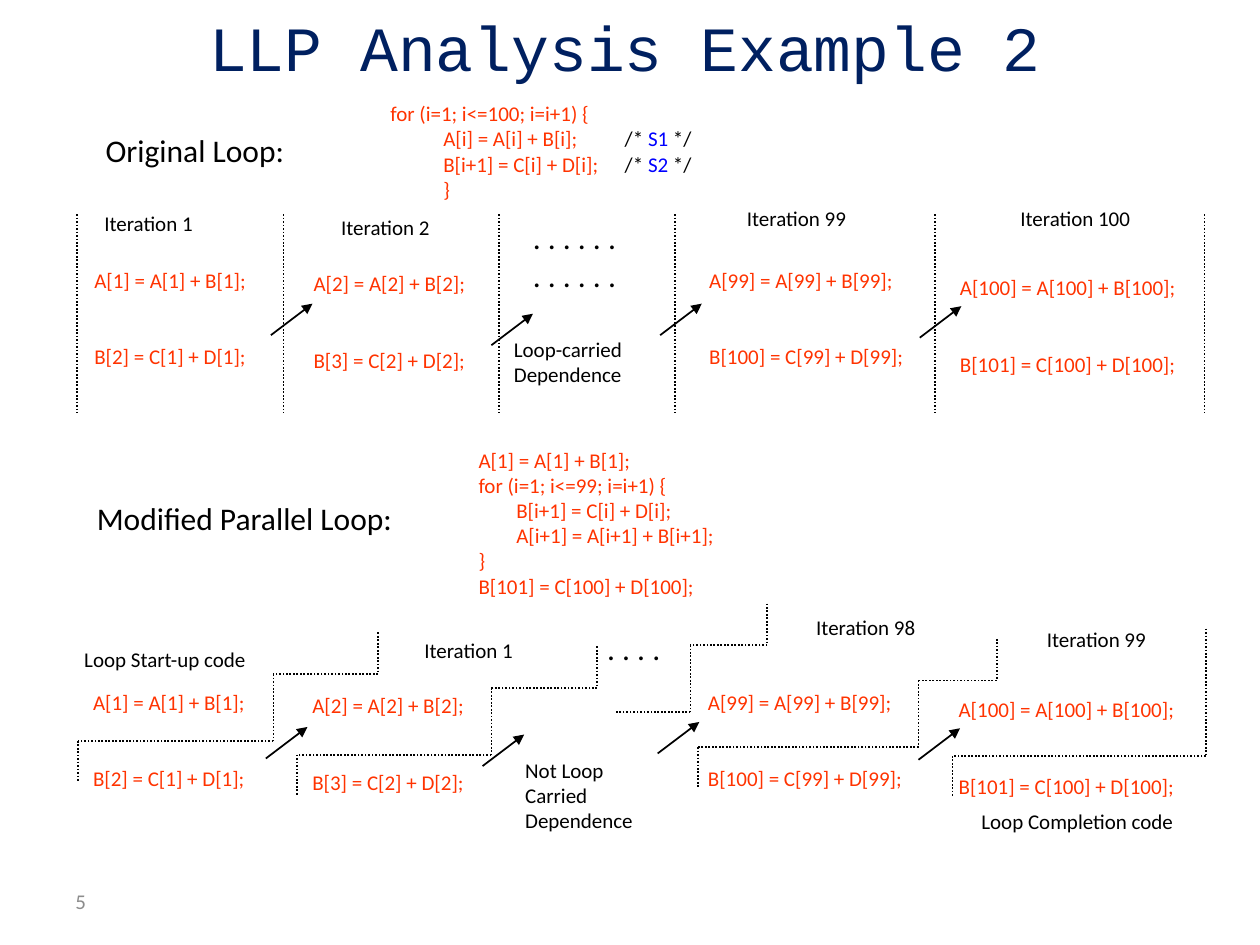
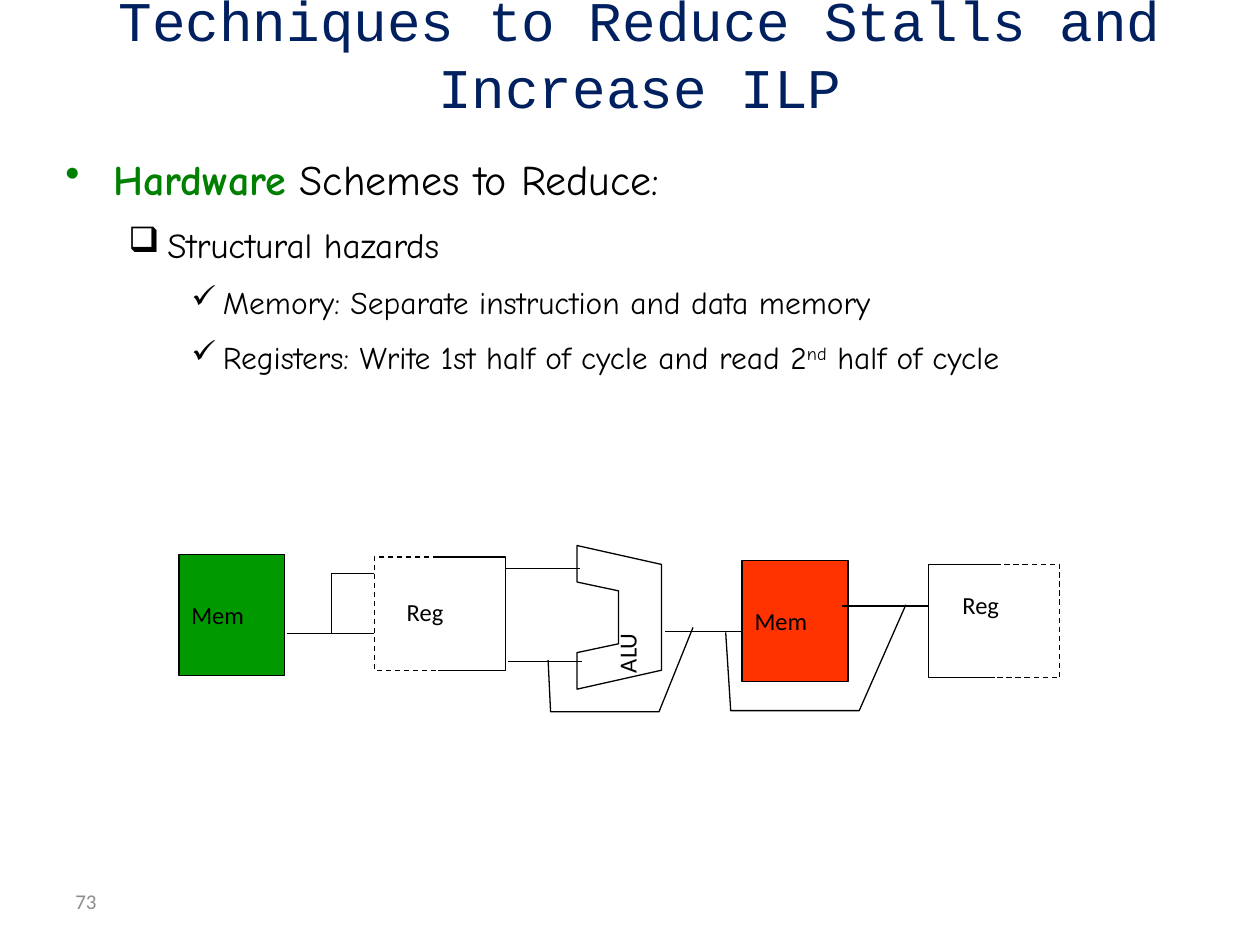
from dataclasses import dataclass
from itertools import pairwise

from lxml.etree import SubElement
from pptx import Presentation
from pptx.dml.color import RGBColor
from pptx.enum.dml import MSO_LINE
from pptx.enum.shapes import MSO_CONNECTOR, MSO_SHAPE
from pptx.enum.text import MSO_ANCHOR, PP_ALIGN
from pptx.oxml.ns import qn
from pptx.util import Inches, Pt


@dataclass(frozen=True)
class Theme:
    columns: float = 10
    rows: float = 7.5
    text_font: str = "Calibri"
    body_font: str = "Comic Neue"
    title_font: str = "Courier New"
    black: str = "000000"
    white: str = "FFFFFF"
    navy: str = "002060"
    gray: str = "8C8C8C"
    code: str = "FF3300"
    label: str = "0000FF"
    hardware: str = "008000"
    memory: str = "009900"
    small: float = 12
    component: float = 14
    heading: float = 18
    bullet_sizes: tuple = (24, 20, 18)
    thin: float = 0.75
    regular: float = 1


THEME = Theme()


class SlideBuilder:
    def __init__(self, presentation, theme):
        self.presentation = presentation
        self.theme = theme
        self.slide = None

    def x(self, columns):
        return round(self.presentation.slide_width * columns / self.theme.columns)

    def y(self, rows):
        return round(self.presentation.slide_height * rows / self.theme.rows)

    def new_slide(self, title, title_box, title_size, number):
        self.slide = self.presentation.slides.add_slide(self.presentation.slide_layouts[6])
        title_style = {"name": self.theme.title_font, "size": title_size, "color": self.theme.navy}
        self.text(title_box, [title], title_style, {"alignment": PP_ALIGN.CENTER}, MSO_ANCHOR.MIDDLE)
        self.text((0.5, 6.95, 2.33, 0.4), [number], {"color": self.theme.gray}, anchor=MSO_ANCHOR.MIDDLE)

    def run(self, paragraph, text, style):
        values = {"name": self.theme.text_font, "size": self.theme.small, "bold": False,
                  "color": self.theme.black, **style}
        run = paragraph.add_run()
        run.text = text
        run.font.color.rgb = RGBColor.from_string(values.pop("color"))
        baseline = values.pop("baseline", None)
        values["size"] = Pt(values["size"])
        for name, value in values.items():
            setattr(run.font, name, value)
        if baseline:
            run.font._element.set("baseline", str(baseline))

    def fill_text(self, shape, lines, style, layout=None, anchor=MSO_ANCHOR.TOP):
        frame = shape.text_frame
        frame.word_wrap = True
        frame.vertical_anchor = anchor
        paragraphs = []
        for index, line in enumerate(lines):
            paragraph = frame.add_paragraph() if index else frame.paragraphs[0]
            for name, value in {"alignment": PP_ALIGN.LEFT, **(layout or {})}.items():
                setattr(paragraph, name, value)
            pieces = [(line, {})] if isinstance(line, str) else line
            for text, changes in pieces:
                self.run(paragraph, text, {**style, **changes})
            paragraphs.append(paragraph)
        return paragraphs

    def text(self, box, lines, style=None, layout=None, anchor=MSO_ANCHOR.TOP, rotation=0):
        left, top, width, height = box
        shape = self.slide.shapes.add_textbox(self.x(left), self.y(top), self.x(width), self.y(height))
        shape.rotation = rotation
        return self.fill_text(shape, lines, style or {}, layout, anchor)

    def code(self, box, lines, tab_stops):
        for paragraph in self.text(box, lines, {"color": self.theme.code}):
            tab_list = SubElement(paragraph._p.get_or_add_pPr(), qn("a:tabLst"))
            for stop in tab_stops:
                SubElement(tab_list, qn("a:tab"), pos=str(self.x(stop)), algn="l")

    def statements(self, left, top, iteration):
        following = iteration + 1
        lines = [f"A[{iteration}] = A[{iteration}] + B[{iteration}];",
                 f"B[{following}] = C[{iteration}] + D[{iteration}];"]
        paragraphs = self.text((left, top, 2.25, 0.92), lines, {"color": self.theme.code})
        paragraphs[1].space_before = Pt(29.3)

    def bullets(self, box, items):
        markers = ("•", "❑", "✓")
        margins = ((0.38, -0.38), (0.81, -0.31), (1.25, -0.25))
        lines = [[(text, {"size": self.theme.bullet_sizes[level], **changes}) for text, changes in pieces]
                 for level, pieces in items]
        paragraphs = self.text(box, lines, {"name": self.theme.body_font}, {"alignment": PP_ALIGN.JUSTIFY})
        for index, (paragraph, (level, _)) in enumerate(zip(paragraphs, items)):
            paragraph.level = level
            paragraph.space_before = Pt(round(self.theme.bullet_sizes[level] * 0.55) if index else 0)
            properties = paragraph._p.get_or_add_pPr()
            for name, value in zip(("marL", "indent"), margins[level]):
                properties.set(name, str(self.x(value)))
            SubElement(properties, qn("a:buChar"), char=markers[level])

    def outline(self, line, width, dash=None):
        line.color.rgb = RGBColor.from_string(self.theme.black)
        line.width = Pt(width)
        if dash:
            line.dash_style = dash

    def paint(self, shape, fill=None, dash=None):
        shape.shadow.inherit = False
        if fill:
            shape.fill.solid()
            shape.fill.fore_color.rgb = RGBColor.from_string(fill)
        else:
            shape.fill.background()
        self.outline(shape.line, self.theme.thin, dash)

    def line(self, start, end, width, dash=None, arrow=False):
        connector = self.slide.shapes.add_connector(
            MSO_CONNECTOR.STRAIGHT, self.x(start[0]), self.y(start[1]), self.x(end[0]), self.y(end[1]))
        self.outline(connector.line, width, dash)
        if arrow:
            SubElement(connector.line._get_or_add_ln(), qn("a:tailEnd"), type="triangle")
        SubElement(connector._element.spPr, qn("a:effectLst"))

    def dotted(self, start, end):
        self.line(start, end, self.theme.regular, MSO_LINE.ROUND_DOT)

    def dependence(self, left, bottom):
        self.line((left, bottom), (left + 0.33, bottom - 0.25), self.theme.regular, arrow=True)

    def staircase(self, top, columns, drops):
        points = []
        for column, drop in zip(columns, drops):
            points += [(column, top), (column, top + drop)]
            top += drop
        for start, end in pairwise(points):
            if start != end:
                self.dotted(start, end)

    def freeform(self, points, fill=None, dash=None, close=False):
        first, *others = [(self.x(column), self.y(row)) for column, row in points]
        builder = self.slide.shapes.build_freeform(*first)
        builder.add_line_segments(others, close=close)
        self.paint(builder.convert_to_shape(), fill, dash)

    def memory(self, left, top, fill):
        shape = self.slide.shapes.add_shape(
            MSO_SHAPE.RECTANGLE, self.x(left), self.y(top), self.x(0.84), self.y(0.96))
        self.paint(shape, fill)
        self.fill_text(shape, ["Mem"], {"size": self.theme.component}, anchor=MSO_ANCHOR.MIDDLE)

    def register(self, dashed_edge, solid_edge, middle, top, label):
        bottom = top + 0.9
        for edge, dash in ((dashed_edge, MSO_LINE.DASH), (solid_edge, None)):
            self.freeform([(middle, top), (edge, top), (edge, bottom), (middle, bottom)], dash=dash)
        self.text((*label, 0.53, 0.33), ["Reg"], {"size": self.theme.component})


def build_loop_slide(builder):
    theme = builder.theme
    heading = {"size": theme.heading}
    builder.new_slide("LLP Analysis Example 2", (0.75, 0.07, 8.42, 0.6), 36, "5")

    iterations = ((0.65, 2.07, 1), (2.39, 2.1, 2), (5.53, 2.07, 99), (7.52, 2.13, 100))
    for shift_left, shift_down in ((0, 0), (0.01, 3.35)):
        for left, top, iteration in iterations:
            builder.statements(left - shift_left, top + shift_down, iteration)

    for column in (0.61, 2.25, 3.96, 5.36, 7.42, 9.56):
        builder.dotted((column, 1.7), (column, 3.28))

    step = (0.33, 0.53, 0.33)
    for top, columns, drops in (
        (5.02, (3, 2.17, 0.62), step),
        (5.13, (4.74, 3.9, 2.36), step),
        (4.79, (6.09, 5.48, 4.89), (0.33, 0.53, 0)),
        (5.07, (7.91, 7.29, 5.54), step),
        (4.99, (9.57, 7.56), (1.01, 0.33)),
    ):
        builder.staircase(top, columns, drops)

    for left, bottom in ((2.15, 2.66), (3.9, 2.74), (5.24, 2.66), (7.3, 2.68),
                         (2.11, 6.02), (3.83, 6.08), (5.22, 5.98), (7.29, 6.03)):
        builder.dependence(left, bottom)

    def comment(name):
        return [("\t/* ", {"color": theme.black}), (name, {"color": theme.label}),
                (" */", {"color": theme.black})]

    builder.code((3, 0.75, 2.97, 0.9), [
        "for (i=1; i<=100; i=i+1) {",
        [("\tA[i] = A[i] + B[i];", {}), *comment("S1")],
        [("\tB[i+1] = C[i] + D[i];", {}), *comment("S2")],
        "\t}",
    ], (0.42, 1.86))
    builder.code((2.75, 3.5, 3.34, 1.5), [
        "\tA[1] = A[1] + B[1];",
        "\tfor (i=1; i<=99; i=i+1) {",
        "\t\tB[i+1] = C[i] + D[i];",
        "\t\tA[i+1] = A[i+1] + B[i+1];",
        "\t}",
        "\tB[101] = C[100] + D[100];",
    ], (0.95, 1.25))

    for box, lines, style in (
        ((0.74, 0.99, 1.81, 0.4), ["Original Loop:"], heading),
        ((0.67, 3.91, 2.77, 0.4), ["Modified Parallel Loop:"], heading),
        ((4.13, 1.68, 1.12, 0.9), [". . . . . ."] * 2, heading),
        ((4.72, 4.94, 0.78, 0.5), [". . . ."], heading),
        ((0.73, 1.62, 0.96, 0.3), ["Iteration 1"], {}),
        ((2.61, 1.65, 0.96, 0.3), ["Iteration 2"], {}),
        ((5.83, 1.58, 1.04, 0.3), ["Iteration 99"], {}),
        ((8, 1.58, 1.12, 0.3), ["Iteration 100"], {}),
        ((3.27, 5.01, 0.96, 0.3), ["Iteration 1"], {}),
        ((6.38, 4.83, 1.04, 0.3), ["Iteration 98"], {}),
        ((8.21, 4.92, 1.04, 0.3), ["Iteration 99"], {}),
        ((0.57, 5.08, 1.58, 0.3), ["Loop Start-up code"], {}),
        ((7.69, 6.37, 1.81, 0.3), ["Loop Completion code"], {}),
        ((3.98, 2.62, 1.19, 0.5), ["Loop-carried", "Dependence"], {}),
        ((4.07, 5.96, 1.06, 0.7), ["Not Loop", "Carried", "Dependence"], {}),
    ):
        builder.text(box, lines, style)


def build_pipeline_slide(builder):
    theme = builder.theme
    builder.new_slide("Techniques to Reduce Stalls and Increase ILP", (0.58, 0, 9, 0.83), 32, "73")
    builder.bullets((0.42, 1.17, 9, 2.92), [
        (0, [("Hardware", {"bold": True, "color": theme.hardware}), (" Schemes to Reduce:", {})]),
        (1, [("Structural hazards", {})]),
        (2, [("Memory: Separate instruction and data memory", {})]),
        (2, [("Registers: Write 1st half of cycle and read 2", {}), ("nd", {"baseline": 30000}),
             (" half of cycle", {})]),
    ])

    builder.memory(1.42, 4.4, theme.memory)
    builder.freeform([(4.58, 5.47), (4.58, 5.18), (4.91, 5.11), (4.91, 4.69),
                      (4.58, 4.62), (4.58, 4.33), (5.25, 4.48), (5.25, 5.32)], theme.white, close=True)
    builder.text((4.67, 4.97, 0.61, 0.33), ["ALU"], {"size": theme.component}, rotation=270)
    builder.register(2.97, 4.01, 3.48, 4.42, (3.13, 4.69))
    builder.memory(5.89, 4.45, theme.code)
    builder.register(8.41, 7.37, 7.9, 4.48, (7.54, 4.63))

    for left, right, row in ((2.28, 2.97, 5.03), (4.01, 4.6, 4.51), (4.03, 4.62, 5.25),
                             (5.28, 5.88, 5.01), (6.68, 7.37, 4.81)):
        builder.line((left, row), (right, row), theme.thin)
    for bypass in (
        [(2.63, 5.03), (2.63, 4.55), (2.97, 4.55)],
        [(4.35, 5.24), (4.37, 5.65), (5.23, 5.65), (5.5, 4.98)],
        [(5.76, 5.02), (5.8, 5.64), (6.82, 5.64), (7.19, 4.8)],
    ):
        builder.freeform(bypass)


def main():
    presentation = Presentation()
    presentation.slide_width = Inches(10)
    presentation.slide_height = Inches(7.5)
    builder = SlideBuilder(presentation, THEME)
    build_loop_slide(builder)
    build_pipeline_slide(builder)
    presentation.save("out.pptx")


if __name__ == "__main__":
    main()
